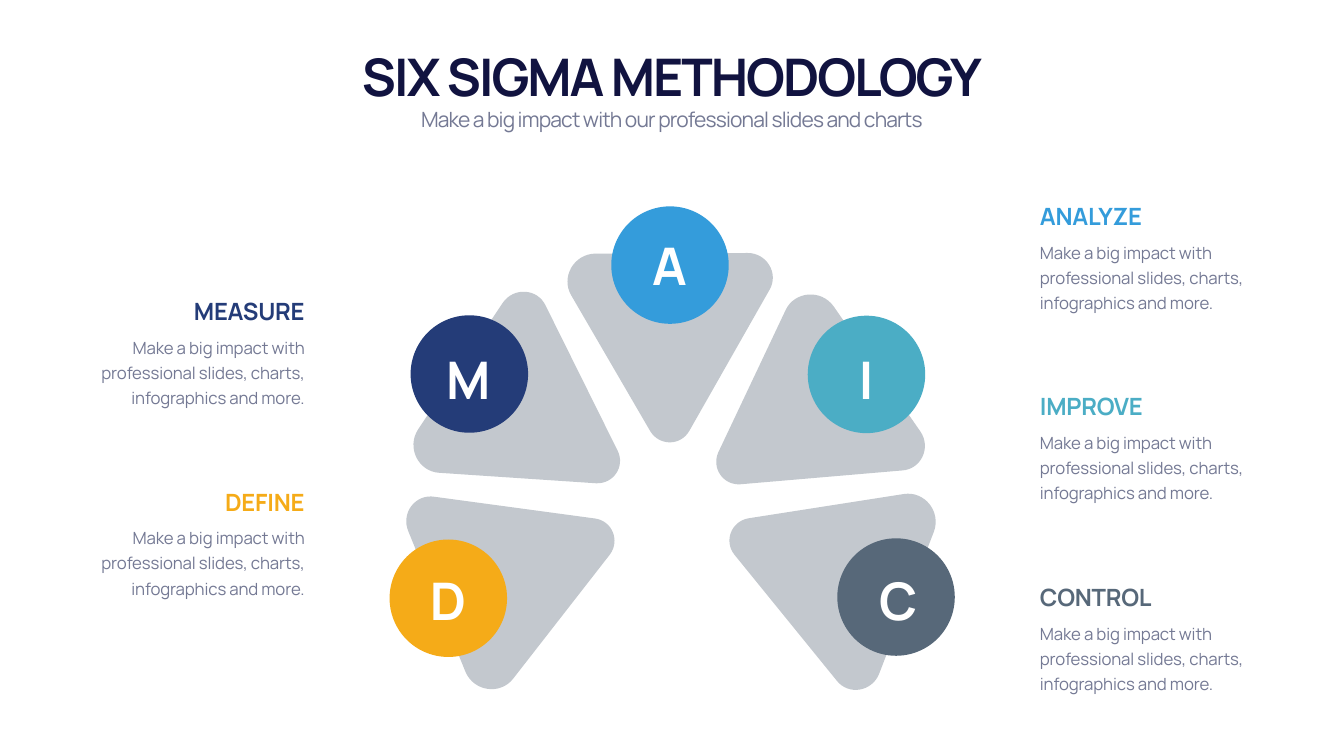
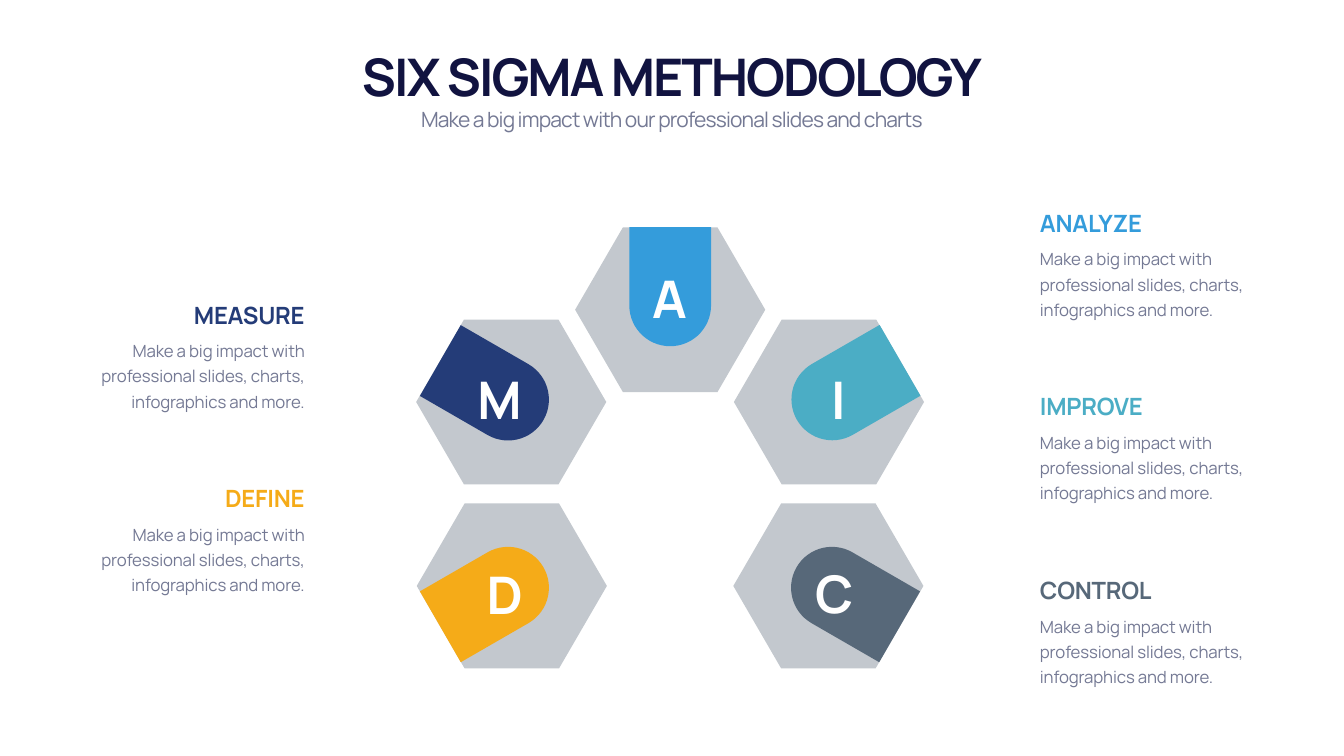
from math import cos, sin, radians
from pptx import Presentation
from pptx.dml.color import RGBColor
from pptx.enum.shapes import MSO_SHAPE
from pptx.enum.text import MSO_ANCHOR, MSO_AUTO_SIZE, PP_ALIGN
from pptx.util import Cm, Pt

FONT = "Manrope"
COLORS = {
    "title": "111340", "text": "747994", "white": "FFFFFF", "grey": "C3C8CE",
    "D": "F5AB18", "M": "243C78", "A": "349CDB", "I": "4BADC5", "C": "576879",
}
TITLE = "SIX SIGMA METHODOLOGY"
SUBTITLE = "Make a big impact with our professional slides and charts"
BODY = "Make a big impact with professional slides, charts, infographics and more."

# Letter: (heading, side, row counted from the middle)
STEPS = {
    "D": ("DEFINE", "left", 0.5),
    "M": ("MEASURE", "left", -0.5),
    "I": ("IMPROVE", "right", 0),
    "A": ("ANALYZE", "right", -1),
    "C": ("CONTROL", "right", 1),
}
SIDES = {"left": (4.17, PP_ALIGN.RIGHT), "right": (52.15, PP_ALIGN.LEFT)}
MIDDLE = 19.63

# Letter: (turn, disc centre, letter centre)
PETALS = {
    "C": (111.3, (45.15, 30.09), (45.26, 30.21)),
    "I": (55.5, (43.66, 18.87), (43.64, 19.06)),
    "A": (0, (33.76, 13.36), (33.73, 13.35)),
    "M": (-56, (23.65, 18.85), (23.6, 19.06)),
    "D": (-111.9, (22.59, 30.15), (22.58, 30.21)),
}
# Bezier corners of an upright petal, measured from its disc centre
CORNERS = [
    [(5, 1.27), (5.51, 0.43), (4.88, -0.61), (3.91, -0.61)],
    [(-3.76, -0.58), (-4.85, -0.56), (-5.51, 0.61), (-4.98, 1.52)],
    [(-0.99, 8.38), (-0.53, 9.12), (0.53, 9.12), (0.97, 8.36)],
]
DISC = 5.92

# Letter: (turn, hexagon centre, tab centre, letter centre)
CELLS = {
    "A": (0, (33.77, 15.61), (33.77, 15.39), (33.73, 15.02)),
    "I": (60, (41.77, 20.26), (41.94, 20.13), (42.24, 20.1)),
    "C": (120, (41.74, 29.53), (41.92, 29.62), (42.04, 29.88)),
    "M": (-60, (25.76, 20.26), (25.6, 20.14), (25.17, 20.1)),
    "D": (-120, (25.79, 29.53), (25.6, 29.62), (25.43, 29.91)),
}
HEX_W, HEX_H = 9.58, 8.31
TAB_R, TAB_H = 2.06, 3.94


def paint(shape, color):
    shape.shadow.inherit = False
    shape.fill.solid()
    shape.fill.fore_color.rgb = RGBColor.from_string(COLORS[color])
    shape.line.fill.background()


def preset(slide, kind, centre, width, height, color):
    x, y = centre
    shape = slide.shapes.add_shape(
        kind, Cm(x - width / 2), Cm(y - height / 2), Cm(width), Cm(height))
    paint(shape, color)
    return shape


def outline(slide, points, centre, turn, color):
    """Draw a closed outline, turned clockwise around its centre."""
    c, s = cos(radians(turn)), sin(radians(turn))
    spots = [(Cm(centre[0] + x * c - y * s), Cm(centre[1] + x * s + y * c))
             for x, y in points]
    pen = slide.shapes.build_freeform(*spots[0])
    pen.add_line_segments(spots[1:], close=True)
    paint(pen.convert_to_shape(), color)


def bezier(corner, steps=16):
    for i in range(steps + 1):
        t = i / steps
        u = 1 - t
        weights = (u ** 3, 3 * u * u * t, 3 * u * t * t, t ** 3)
        yield tuple(sum(w * p[axis] for w, p in zip(weights, corner))
                    for axis in (0, 1))


def text(slide, box, words, size, color, align=PP_ALIGN.CENTER,
         anchor=MSO_ANCHOR.TOP, bold=False, gap=0, line=None):
    frame = slide.shapes.add_textbox(*map(Cm, box)).text_frame
    frame.word_wrap = True
    frame.auto_size = MSO_AUTO_SIZE.SHAPE_TO_FIT_TEXT
    frame.vertical_anchor = anchor
    para = frame.paragraphs[0]
    run = para.add_run()
    run.text = words
    run._r.get_or_add_rPr().set("spc", str(gap))  # letter spacing
    para.alignment = align
    if line:
        para.line_spacing = Pt(line)
    para.font.name = FONT
    para.font.size = Pt(size)
    para.font.bold = bold
    para.font.color.rgb = RGBColor.from_string(COLORS[color])


def header(slide):
    text(slide, (4.22, 2.08, 59.26, 3.43), TITLE, 74, "title",
         anchor=MSO_ANCHOR.BOTTOM, bold=True, gap=-290)
    text(slide, (4.22, 5.26, 59.26, 1.55), SUBTITLE, 30, "text", gap=-120)


def labels(slide, pitch):
    for key, (head, side, row) in STEPS.items():
        left, align = SIDES[side]
        top = MIDDLE + row * pitch
        text(slide, (left, top, 11.43, 1.7), head, 34, key, align,
             MSO_ANCHOR.BOTTOM, bold=True, gap=-30)
        text(slide, (left, top + 1.8, 11.43, 4.04), BODY, 24, "text", align,
             gap=-20, line=36)


def letter(slide, key, centre, width):
    x, y = centre
    text(slide, (x - width / 2, y - 1.71, width, 3.43), key, 74, "white",
         anchor=MSO_ANCHOR.MIDDLE, bold=True, gap=-290)


def fan(slide):
    points = [p for corner in CORNERS for p in bezier(corner)]
    for key, (turn, disc, spot) in PETALS.items():
        outline(slide, points, disc, turn, "grey")
        preset(slide, MSO_SHAPE.OVAL, disc, DISC, DISC, key)
        letter(slide, key, spot, 4.42)


def comb(slide):
    # Upright tab: flat top, half-round bottom
    arc = [(TAB_R * cos(radians(a)), TAB_R * sin(radians(a)))
           for a in range(0, 181, 6)]
    points = [(-TAB_R, -TAB_H), (TAB_R, -TAB_H)] + arc
    for key, (turn, cell, tab, spot) in CELLS.items():
        shape = preset(slide, MSO_SHAPE.HEXAGON, cell, HEX_W, HEX_H, "grey")
        shape.adjustments[0] = 0.29
        outline(slide, points, tab, turn, key)
        letter(slide, key, spot, 3.15)


def main():
    deck = Presentation()
    deck.slide_width, deck.slide_height = Cm(67.72), Cm(38.1)
    for draw, pitch in ((fan, 9.6), (comb, 9.25)):
        slide = deck.slides.add_slide(deck.slide_layouts[6])
        draw(slide)
        header(slide)
        labels(slide, pitch)
    deck.save("out.pptx")


if __name__ == "__main__":
    main()
